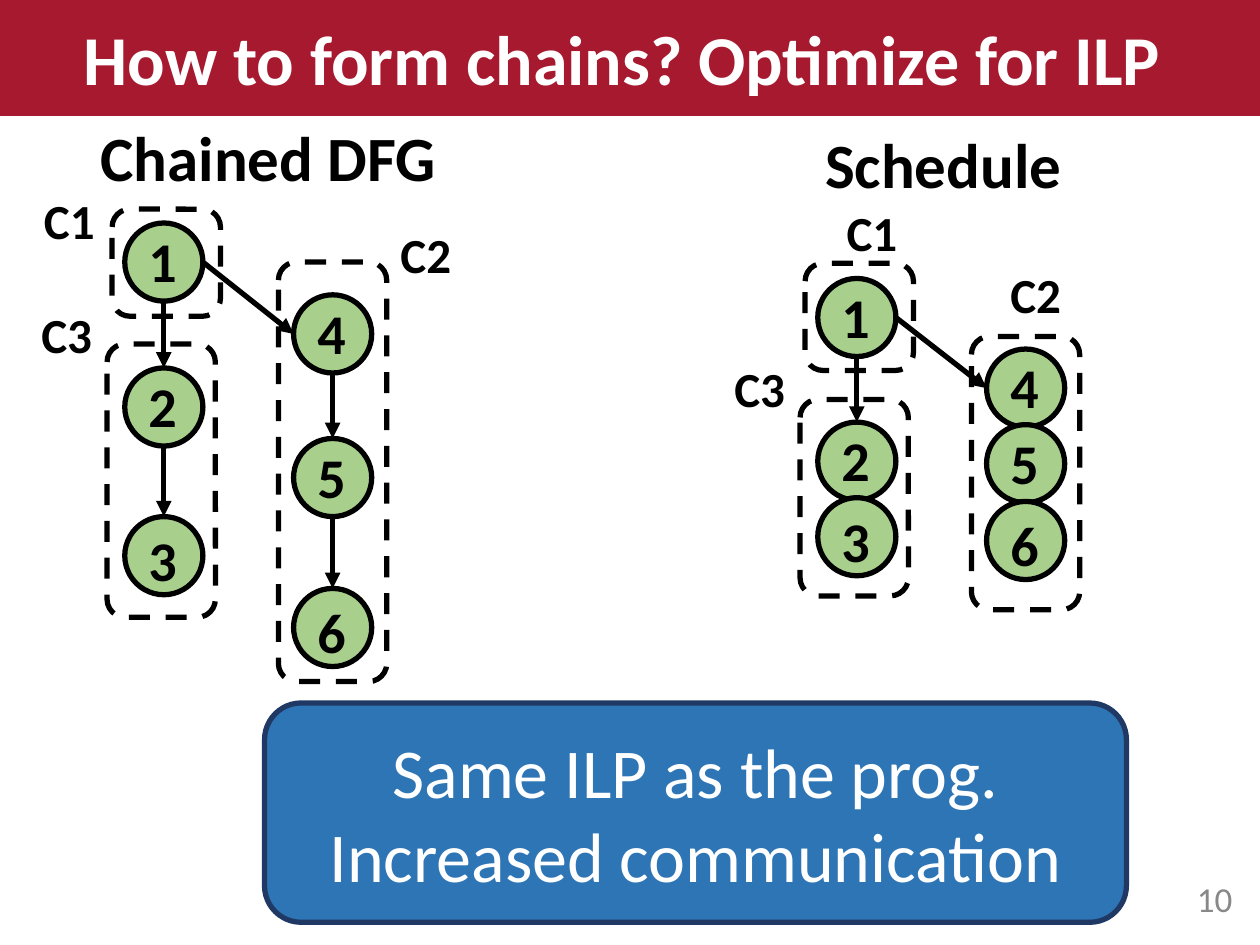
from lxml import etree
from pptx import Presentation
from pptx.dml.color import RGBColor
from pptx.enum.dml import MSO_LINE
from pptx.enum.shapes import MSO_CONNECTOR, MSO_SHAPE
from pptx.enum.text import MSO_ANCHOR, PP_ALIGN
from pptx.oxml.ns import qn
from pptx.util import Inches, Pt

RECTANGLE, ROUNDED, OVAL = MSO_SHAPE.RECTANGLE, MSO_SHAPE.ROUNDED_RECTANGLE, MSO_SHAPE.OVAL
STRAIGHT, DASH = MSO_CONNECTOR.STRAIGHT, MSO_LINE.DASH
LEFT, CENTER, RIGHT = PP_ALIGN.LEFT, PP_ALIGN.CENTER, PP_ALIGN.RIGHT
TOP, MIDDLE = MSO_ANCHOR.TOP, MSO_ANCHOR.MIDDLE

CELL = 0.1  # the slide is a grid of 100 columns by 75 rows
NODE = 6.2  # diameter of a graph node, in cells


def color(value):
    return RGBColor.from_string(value)


def write(shape, text, size=28, fill="000000", bold=True, align=LEFT, anchor=TOP, wrap=True):
    """Fill a shape with text, one paragraph for each line."""
    frame = shape.text_frame
    frame.word_wrap = wrap
    frame.vertical_anchor = anchor
    for index, line in enumerate(text.split("\n")):
        paragraph = frame.add_paragraph() if index else frame.paragraphs[0]
        paragraph.text = line
        paragraph.alignment = align
        paragraph.font.name = Style.font
        paragraph.font.size = Pt(size)
        paragraph.font.bold = bold
        paragraph.font.color.rgb = color(fill)


class Style:
    font = "Calibri"
    stroke = 3
    ink, paper, muted = "000000", "FFFFFF", "888888"
    banner, node = "A6192E", "A8D08C"
    callout, callout_edge = "2E75B6", "1F3864"

    def __init__(self, slide):
        self.slide = slide

    def box(self, kind, column, row, width, height, fill=None, line=None, dash=None):
        shape = self.slide.shapes.add_shape(
            kind, *(Inches(n * CELL) for n in (column, row, width, height)))
        shape.shadow.inherit = False
        if fill:
            shape.fill.solid()
            shape.fill.fore_color.rgb = color(fill)
        else:
            shape.fill.background()
        if line:
            shape.line.color.rgb = color(line)
            shape.line.width = Pt(self.stroke)
            shape.line.dash_style = dash
        else:
            shape.line.fill.background()
        return shape

    def text(self, column, row, width, height, text, **text_format):
        shape = self.slide.shapes.add_textbox(
            *(Inches(n * CELL) for n in (column, row, width, height)))
        write(shape, text, **text_format)

    def node(self, column, row, name, drop):
        self.box(OVAL, column, row, NODE, NODE, self.node_fill(), self.ink)
        self.text(column + 0.9, row + drop, 4.4, 6.4, name, size=32, wrap=False)

    def node_fill(self):
        return self.node

    def arrow(self, start, end):
        connector = self.slide.shapes.add_connector(
            STRAIGHT, *(Inches(n * CELL) for n in (*start, *end)))
        connector.line.color.rgb = color(self.ink)
        connector.line.width = Pt(self.stroke)
        etree.SubElement(connector.line._get_or_add_ln(), qn("a:tailEnd"), type="triangle")
        etree.SubElement(connector._element.spPr, qn("a:effectLst"))

    def chain(self, column, row, height):
        self.box(ROUNDED, column, row, 8.6, height, line=self.ink, dash=DASH)

    def graph(self, column, row, nodes, edges, chains, labels):
        """Draw a graph whose parts are placed from the corner of node 1."""
        places = {name: (column + x, row + y) for name, (x, y) in nodes.items()}
        for name, place in places.items():
            self.node(*place, name, drop=0.2 if name in "36" else -0.2)
        for source, target in edges:
            (x1, y1), (x2, y2) = places[source], places[target]
            if x1 < x2:  # from the right side to the left side
                self.arrow((x1 + NODE, y1 + NODE / 2), (x2, y2 + NODE / 2))
            else:  # straight down
                self.arrow((x1 + NODE / 2, y1 + NODE), (x2 + NODE / 2, y2))
        for x, y, height in chains:
            self.chain(column + x, row + y, height)
        for name, (x, y) in labels.items():
            self.text(column + x, row + y, 6.1, 5.7, name, wrap=False)


# The node fill is a plain value shared by every node
Style.node_color = "A8D08C"
Style.node_fill = lambda self: self.node_color


def main():
    presentation = Presentation()
    presentation.slide_width, presentation.slide_height = Inches(10), Inches(7.5)
    slide = presentation.slides.add_slide(presentation.slide_layouts[6])
    style = Style(slide)

    # Title banner and page number
    banner = style.box(RECTANGLE, 0, 0, 100, 9.2, style.banner)
    write(banner, "How to form chains? Optimize for ILP ", size=40, fill=style.paper,
          align=CENTER, anchor=MIDDLE)
    style.text(76.3, 69.3, 22.5, 4, "10", size=20, fill=style.muted, bold=False,
               align=RIGHT, anchor=MIDDLE)

    # Conclusion
    callout = style.box(ROUNDED, 21, 55.8, 68.4, 17.4, style.callout, style.callout_edge)
    write(callout, "Same ILP as the prog.\nIncreased communication", size=40,
          fill=style.paper, bold=False, align=CENTER, anchor=MIDDLE)

    # Dataflow graph split into chains
    style.text(7, 8.9, 28.9, 7.1, "Chained DFG", size=36, wrap=False)
    style.graph(
        9.9, 17.7,
        nodes={"4": (13.4, 5.7), "5": (13.4, 17.1), "6": (13.4, 29),
               "1": (0, 0), "2": (0, 11.5), "3": (0, 23.3)},
        edges=["45", "56", "12", "23", "14"],
        chains=[(-1.4, 9.6, 21.7), (12.2, 3.1, 33.3), (-1, -1.1, 8.5)],
        labels={"C1": (-7.4, -3.1), "C2": (20.9, -0.4), "C3": (-7.6, 6)})

    # Schedule, with the nodes of a chain packed together
    style.text(64.5, 9.5, 21, 7.1, "Schedule", size=36, wrap=False)
    style.graph(
        64.9, 22.1,
        nodes={"4": (13.4, 5.6), "5": (13.4, 11.6), "6": (13.4, 17.7),
               "1": (0, 0), "2": (0, 11.4), "3": (0, 17.4)},
        edges=["12", "14"],
        chains=[(-1.4, 9.6, 15.6), (12.2, 4.6, 21.7), (-1, -1.2, 8.5)],
        labels={"C1": (1.3, -6.5), "C2": (14.3, -1.6), "C3": (-7.6, 5.9)})

    presentation.save("out.pptx")


if __name__ == "__main__":
    main()
